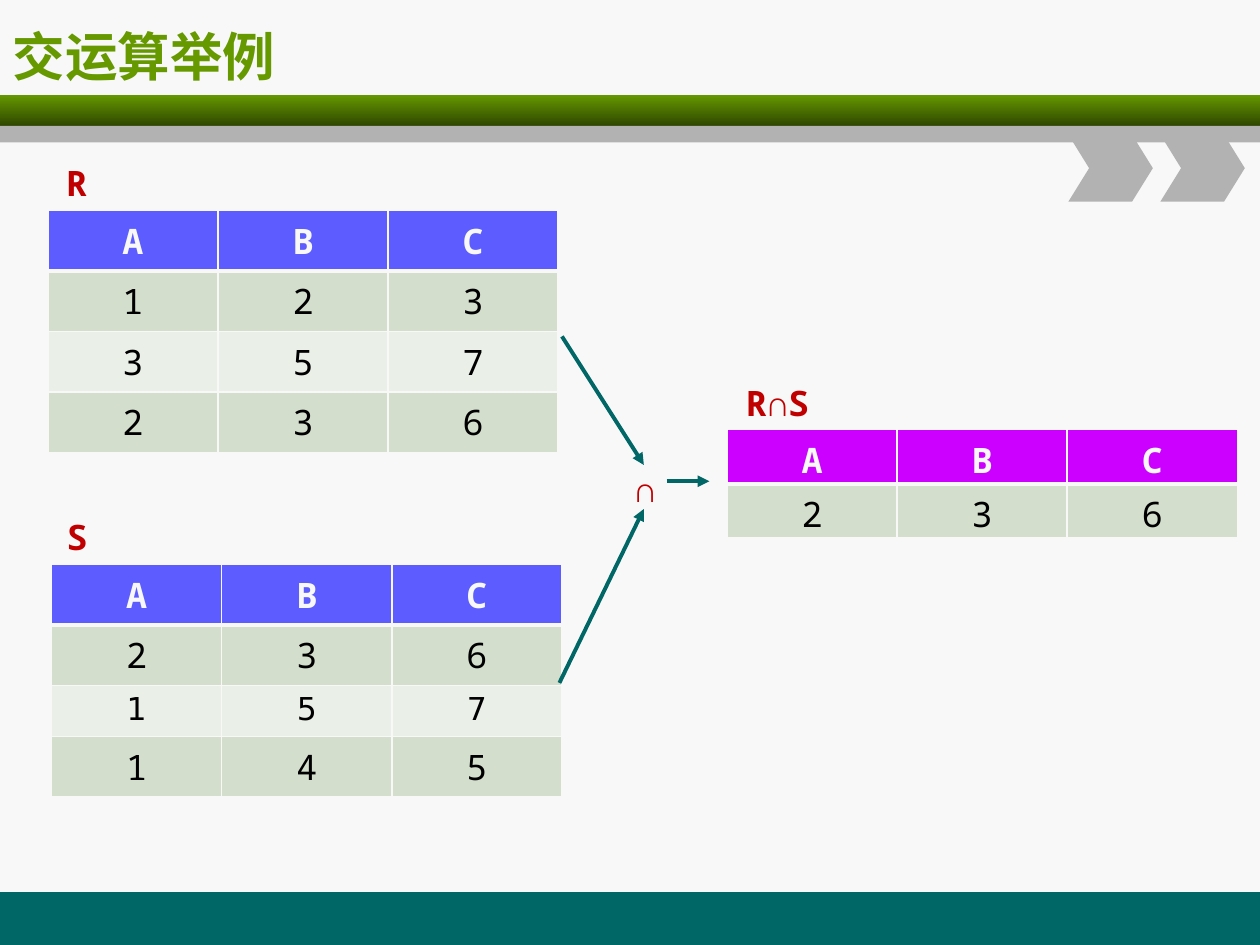
from lxml.etree import SubElement
from pptx import Presentation
from pptx.dml.color import RGBColor
from pptx.enum.shapes import MSO_CONNECTOR, MSO_SHAPE
from pptx.enum.text import MSO_ANCHOR, MSO_AUTO_SIZE, PP_ALIGN
from pptx.oxml import parse_xml
from pptx.oxml.ns import nsdecls, qn
from pptx.util import Inches, Pt

COLORS = {
    "paper": "F8F8F8", "teal": "006666", "green": "669900", "dark green": "2F4700",
    "gray": "B2B2B2", "blue": "5C5CFF", "magenta": "CC00FF", "red": "C00000",
    "black": "000000", "band": "D3DECC", "light band": "EAEFE7",
}
COLUMNS, ROWS = 100, 75
SANS, MONO = "DejaVu Sans", "Noto Sans Mono"


def rgb(name):
    return RGBColor.from_string(COLORS[name])


class RelationSlide:
    """Places elements on a grid of 100 columns by 75 rows."""

    def __init__(self, deck):
        self.width, self.height = deck.slide_width, deck.slide_height
        self.slide = deck.slides.add_slide(deck.slide_layouts[5])
        self.shapes = self.slide.shapes
        background = self.slide.background.fill
        background.solid()
        background.fore_color.rgb = rgb("paper")

    def x(self, columns):
        return round(self.width * columns / COLUMNS)

    def y(self, rows):
        return round(self.height * rows / ROWS)

    def box(self, left, top, width, height):
        return self.x(left), self.y(top), self.x(width), self.y(height)

    def style(self, paragraph, color, size=20, font=MONO, bold=True, align=PP_ALIGN.CENTER):
        paragraph.alignment = align
        for run in paragraph.runs:
            run.font.name, run.font.size, run.font.bold = font, Pt(size), bold
            run.font.color.rgb = rgb(color)

    def title(self, words, *place):
        heading = self.shapes.title
        heading.left, heading.top, heading.width, heading.height = self.box(*place)
        frame = heading.text_frame
        frame.text = words
        frame.vertical_anchor = MSO_ANCHOR.MIDDLE
        self.style(frame.paragraphs[0], "green", 30, SANS, align=PP_ALIGN.LEFT)

    def block(self, color, *place, preset=MSO_SHAPE.RECTANGLE, fade_to=None):
        shape = self.shapes.add_shape(preset, *self.box(*place))
        shape.shadow.inherit = False
        shape.line.fill.background()
        if fade_to:
            shape.fill.gradient()
            shape.fill.gradient_angle = 270
            for stop, shade in zip(shape.fill.gradient_stops, (color, fade_to)):
                stop.color.rgb = rgb(shade)
        else:
            shape.fill.solid()
            shape.fill.fore_color.rgb = rgb(color)
        return shape

    def label(self, words, *place):
        frame = self.shapes.add_textbox(*self.box(*place)).text_frame
        frame.word_wrap = False
        frame.auto_size = MSO_AUTO_SIZE.SHAPE_TO_FIT_TEXT
        frame.text = words
        self.style(frame.paragraphs[0], "red", align=PP_ALIGN.RIGHT)

    def arrow(self, start, end):
        connector = self.shapes.add_connector(
            MSO_CONNECTOR.STRAIGHT,
            self.x(start[0]), self.y(start[1]), self.x(end[0]), self.y(end[1]))
        connector.line.color.rgb = rgb("teal")
        connector.line.width = Pt(2.25)
        properties = connector._element.spPr
        SubElement(properties.find(qn("a:ln")), qn("a:tailEnd"), type="triangle")
        SubElement(properties, qn("a:effectLst"))

    def borders(self, cell, top, bottom):
        """Draw paper-coloured cell edges; widths are in points."""
        properties = cell._tc.get_or_add_tcPr()
        edges = {"lnL": 1, "lnR": 1, "lnT": top, "lnB": bottom}
        for position, (edge, width) in enumerate(edges.items()):
            properties.insert(position, parse_xml(
                f'<a:{edge} {nsdecls("a")} w="{Pt(width)}"><a:solidFill>'
                f'<a:srgbClr val="{COLORS["paper"]}"/></a:solidFill></a:{edge}>'))

    def relation(self, left, top, tuples, header, small_row=None, tight=False):
        """Add a table with attributes A, B, C; tight drops the bottom cell margin."""
        lines = ["ABC", *tuples]
        table = self.shapes.add_table(
            len(lines), 3, *self.box(left, top, 40.5, 4.05 * len(lines))).table
        for r, values in enumerate(lines):
            is_header = r == 0
            band = header if is_header else "band" if r % 2 else "light band"
            size, font = (18, SANS) if r == small_row else (20, MONO)
            for c, value in enumerate(values):
                cell = table.cell(r, c)
                cell.text = value
                cell.fill.solid()
                cell.fill.fore_color.rgb = rgb(band)
                if tight:
                    cell.margin_bottom = 0
                self.borders(cell, 3 if r == 1 else 1, 3 if is_header else 1)
                self.style(cell.text_frame.paragraphs[0],
                           "paper" if is_header else "black", size, font, is_header)


def main():
    deck = Presentation()
    deck.slide_width, deck.slide_height = Inches(10), Inches(7.5)
    page = RelationSlide(deck)

    page.block("teal", 0, 70.8, 100, 4.2)
    page.block("green", 0, 7.5, 100, 2.5, fade_to="dark green")
    page.block("gray", 0, 10, 100, 1.3)
    for left in (84.8, 92.1):
        chevron = page.block("gray", left, 10.7, 6.7, 5.3, preset=MSO_SHAPE.CHEVRON)
        chevron.adjustments[0] = 0.31
    page.title("交运算举例", 0, 1.3, 84.9, 6.2)

    page.relation(3.8, 16.7, ["123", "357", "236"], "blue")
    page.relation(4.1, 44.8, ["236", "157", "145"], "blue", small_row=2)
    page.relation(57.7, 34.1, ["236"], "magenta", tight=True)

    page.label("R", 4.1, 12.3, 3.8, 4.4)
    page.label("S", 4.3, 40.4, 3.5, 4.4)
    page.label("R∩S", 57.7, 29.8, 7.5, 4.4)
    page.label("∩", 48.8, 36.6, 4.2, 4.4)

    page.arrow((44.6, 26.7), (51.1, 36.9))
    page.arrow((44.4, 54.2), (51.1, 40.4))
    page.arrow((52.9, 38.2), (56.3, 38.2))

    deck.save("out.pptx")


if __name__ == "__main__":
    main()
